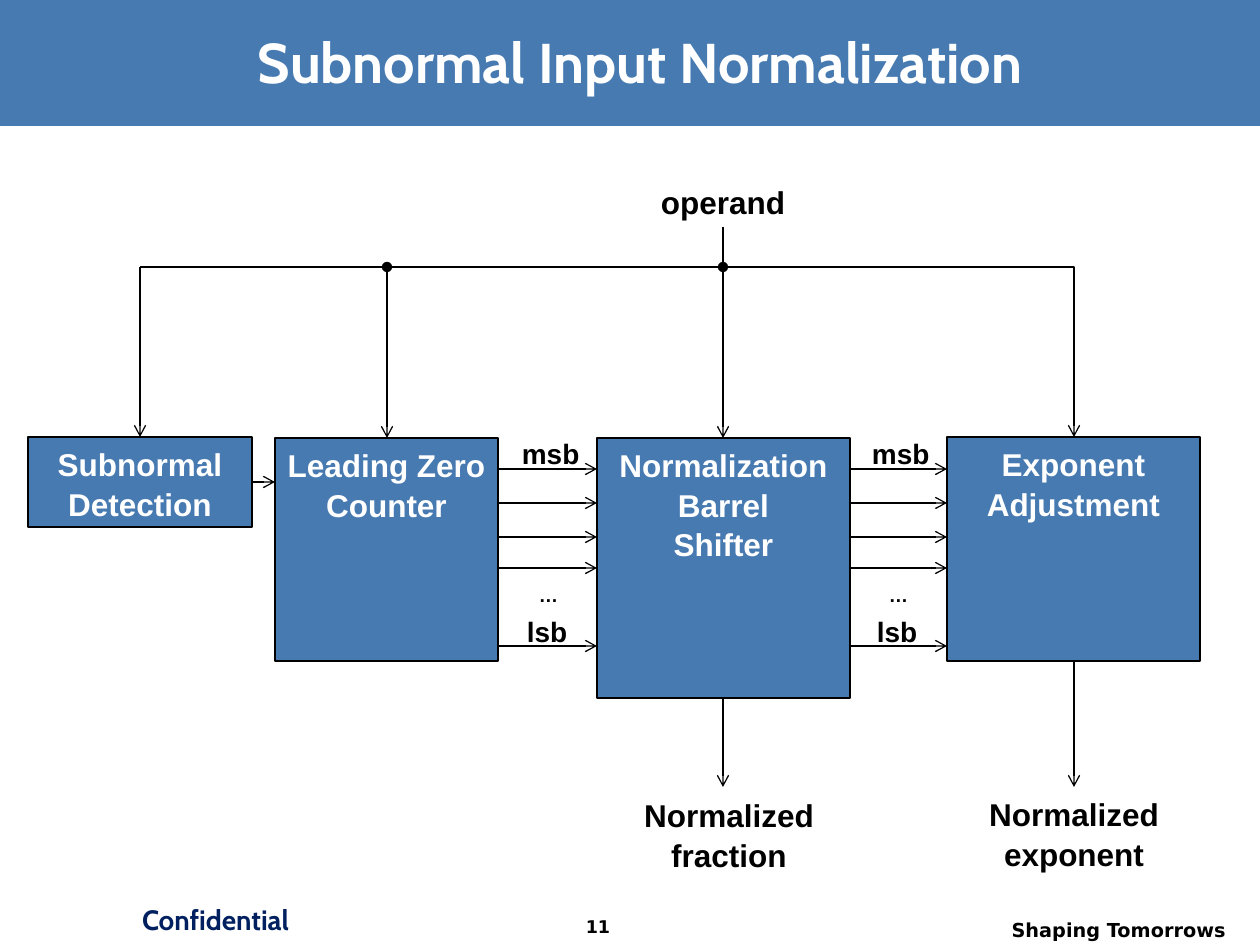
from lxml import etree
from pptx import Presentation
from pptx.dml.color import RGBColor
from pptx.enum.shapes import MSO_CONNECTOR, MSO_SHAPE
from pptx.enum.text import MSO_ANCHOR, PP_ALIGN
from pptx.oxml.ns import qn
from pptx.util import Pt

PX = 914400 / 126
RECT = MSO_SHAPE.RECTANGLE
STRAIGHT, ELBOW = MSO_CONNECTOR.STRAIGHT, MSO_CONNECTOR.ELBOW
LEFT, CENTER, RIGHT = PP_ALIGN.LEFT, PP_ALIGN.CENTER, PP_ALIGN.RIGHT
TOP, MIDDLE = MSO_ANCHOR.TOP, MSO_ANCHOR.MIDDLE
BLUE, BLACK, WHITE, NAVY = "477AB1", "000000", "FFFFFF", "002060"

deck = Presentation()
deck.slide_width, deck.slide_height = round(1260 * PX), round(945 * PX)
page = deck.slides.add_slide(deck.slide_layouts[6])


def write(box, lines, size, color=BLACK, font="Arial", align=CENTER, anchor=TOP):
    frame = box.text_frame
    frame.word_wrap = True
    frame.vertical_anchor = anchor
    frame.margin_left = frame.margin_right = round((6 if color == WHITE else 12) * PX)
    for index, line in enumerate(lines):
        para = frame.paragraphs[0] if index == 0 else frame.add_paragraph()
        para.alignment = align
        if font == "Arial":
            para.line_spacing = 1.05
        span = para.add_run()
        span.text = line
        span.font.size = Pt(size)
        span.font.bold = True
        span.font.name = font
        span.font.color.rgb = RGBColor.from_string(color)
    return span


def wire(x1, y1, x2, y2, tail="arrow", head=None, kind=STRAIGHT):
    line = page.shapes.add_connector(kind, *(round(v * PX) for v in (x1, y1, x2, y2)))
    line.line.color.rgb = RGBColor.from_string(BLACK)
    line.line.width = Pt(0.75)
    shape_props = line._element.spPr
    if kind == ELBOW:
        shape_props.find(qn("a:prstGeom")).set("prst", "bentConnector2")
    outline = shape_props.find(qn("a:ln"))
    for tag, end in (("a:headEnd", head), ("a:tailEnd", tail)):
        if end:
            etree.SubElement(outline, qn(tag), type=end)
    etree.SubElement(shape_props, qn("a:effectLst"))


banner = page.shapes.add_shape(RECT, 0, 0, deck.slide_width, round(126 * PX))
banner.shadow.inherit = False
banner.fill.solid()
banner.fill.fore_color.rgb = RGBColor.from_string(BLUE)
banner.line.fill.background()

title = page.shapes.add_textbox(*(round(v * PX) for v in (44, 20, 1193, 83)))
title_span = write(title, ["Subnormal Input Normalization"], 32, WHITE, "Cabin", anchor=MIDDLE)
effects = etree.SubElement(title_span.font._element, qn("a:effectLst"))
title_span.font.fill._xPr.find(qn("a:solidFill")).addnext(effects)
shadow = etree.SubElement(effects, qn("a:outerShdw"), dist="38100", dir="2700000")
etree.SubElement(shadow, qn("a:srgbClr"), val=BLACK)

blocks = [
    (28, 437, 224, 90, ["Subnormal", "Detection"]),
    (275, 438, 223, 223, ["Leading Zero Counter"]),
    (597, 438, 253, 260, ["Normalization Barrel", "Shifter"]),
    (947, 437, 253, 224, ["Exponent", "Adjustment"]),
]
for left, top, width, height, lines in blocks:
    block = page.shapes.add_shape(RECT, *(round(v * PX) for v in (left, top, width, height)))
    block.shadow.inherit = False
    block.fill.solid()
    block.fill.fore_color.rgb = RGBColor.from_string(BLUE)
    block.line.color.rgb = RGBColor.from_string(BLACK)
    block.line.width = Pt(0.75)
    write(block, lines, 18, WHITE)

for bus_left in (499, 849):
    for y in (469, 503, 537, 568, 646):
        wire(bus_left, y, bus_left + 98, y)
    for dx, y, width, height, label, size in (
        (11, 429, 115, 47, "msb", 16),
        (16, 607, 115, 47, "lsb", 16),
        (28, 576, 63, 37, "…", 11),
    ):
        box = page.shapes.add_textbox(
            *(round(v * PX) for v in (bus_left + dx, y, width, height)))
        write(box, [label], size, align=LEFT)

wire(140, 267, 140, 437)
wire(140, 267, 723, 438, kind=ELBOW)
wire(723, 267, 1074, 437, kind=ELBOW)
wire(723, 227, 723, 267, tail="oval")
wire(387, 267, 387, 438, head="oval")
wire(252, 482, 275, 482)
wire(723, 698, 723, 787)
wire(1074, 661, 1074, 787)

captions = [
    (619, 175, 208, 50, "operand", 18, BLACK, "Arial", CENTER),
    (625, 788, 208, 89, "Normalized fraction", 18, BLACK, "Arial", CENTER),
    (970, 787, 208, 89, "Normalized exponent", 18, BLACK, "Arial", CENTER),
    (112, 896, 207, 53, "Confidential", 16, NAVY, "Cabin", CENTER),
    (540, 910, 116, 35, "11", 10, BLACK, "DejaVu Sans", CENTER),
    (940, 912, 298, 33, "Shaping Tomorrows", 11, BLACK, "DejaVu Sans", RIGHT),
]
for left, top, width, height, label, size, color, font, align in captions:
    box = page.shapes.add_textbox(*(round(v * PX) for v in (left, top, width, height)))
    write(box, [label], size, color, font, align)

deck.save("out.pptx")
